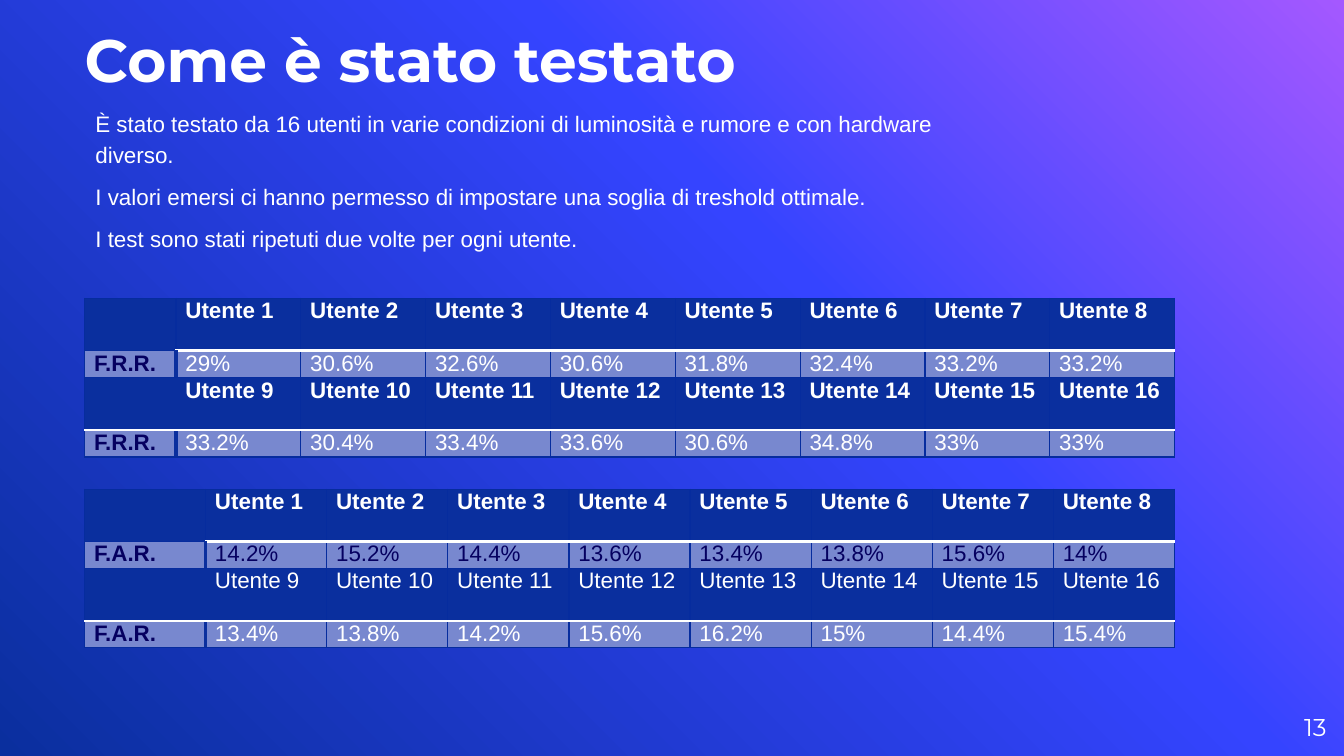
from lxml import etree
from pptx import Presentation
from pptx.dml.color import RGBColor
from pptx.enum.text import MSO_ANCHOR as Anchor, PP_ALIGN as Align
from pptx.oxml import parse_xml
from pptx.oxml.ns import nsdecls, qn
from pptx.util import Inches, Pt

WIDTH = 10
HEIGHT = WIDTH * 9 / 16
LEFT = 0.63
TEXT_WIDTH = 6.58
TABLE_WIDTH = 8.11
ROW_HEIGHTS = (0.39, 0.2, 0.39, 0.2)
USERS_PER_ROW = 8

COLORS = {
    "white": "FFFFFF",
    "ink": "050060",
    "navy": "0A2F9E",
    "border": "062C9E",
    "band": "7888CF",
    "blue": "3544FF",
    "violet": "A458FF",
}
GRADIENT = ((0, "violet"), (39, "blue"), (100, "navy"))

INTRO = (
    "È stato testato da 16 utenti in varie condizioni di luminosità e rumore e con hardware diverso.",
    "I valori emersi ci hanno permesso di impostare una soglia di treshold ottimale.",
    "I test sono stati ripetuti due volte per ogni utente.",
)
FRR = (
    ("29%", "30.6%", "32.6%", "30.6%", "31.8%", "32.4%", "33.2%", "33.2%"),
    ("33.2%", "30.4%", "33.4%", "33.6%", "30.6%", "34.8%", "33%", "33%"),
)
FAR = (
    ("14.2%", "15.2%", "14.4%", "13.6%", "13.4%", "13.8%", "15.6%", "14%"),
    ("13.4%", "13.8%", "14.2%", "15.6%", "16.2%", "15%", "14.4%", "15.4%"),
)


def rgb(name):
    return RGBColor.from_string(COLORS[name])


def set_background(slide):
    stops = "".join(
        f'<a:gs pos="{position * 1000}"><a:srgbClr val="{COLORS[name]}"/></a:gs>'
        for position, name in GRADIENT
    )
    slide.background.fill.solid()
    properties = slide.background._cSld.find(qn("p:bg")).find(qn("p:bgPr"))
    properties.replace(properties[0], parse_xml(
        f'<a:gradFill {nsdecls("a")} rotWithShape="1"><a:gsLst>{stops}</a:gsLst>'
        f'<a:lin ang="{135 * 60000}" scaled="0"/></a:gradFill>'
    ))


def add_run(paragraph, text, size, font="Arial", color="white", bold=False):
    run = paragraph.add_run()
    run.text = text
    run.font.size = Pt(size)
    run.font.name = font
    run.font.bold = bold
    run.font.color.rgb = rgb(color)


def format_frame(frame, anchor):
    frame.word_wrap = True
    frame.vertical_anchor = anchor
    frame.margin_left = frame.margin_right = 0
    frame.margin_top = frame.margin_bottom = 0


def add_title(slide, text):
    title = slide.shapes.title
    title.left, title.top = Inches(LEFT), Inches(-0.24)
    title.width, title.height = Inches(TEXT_WIDTH), Inches(0.94)
    format_frame(title.text_frame, Anchor.BOTTOM)
    paragraph = title.text_frame.paragraphs[0]
    paragraph.alignment = Align.LEFT
    add_run(paragraph, text, 32, "Montserrat", bold=True)


def add_text_box(slide, left, top, width, height, anchor):
    box = slide.shapes.add_textbox(Inches(left), Inches(top), Inches(width), Inches(height))
    format_frame(box.text_frame, anchor)
    return box.text_frame


def add_intro(slide):
    frame = add_text_box(slide, LEFT, 0.79, TEXT_WIDTH, 1.19, Anchor.TOP)
    for index, text in enumerate(INTRO):
        paragraph = frame.add_paragraph() if index else frame.paragraphs[0]
        paragraph.line_spacing = 1.15
        paragraph.space_before = Pt(6)
        paragraph._p.get_or_add_pPr().set("marL", str(Inches(0.08)))
        add_run(paragraph, text, 12)


def add_page_number(slide, number):
    frame = add_text_box(slide, 9.27, 5.19, 0.6, 0.43, Anchor.MIDDLE)
    frame.paragraphs[0].alignment = Align.RIGHT
    add_run(frame.paragraphs[0], number, 13, "Montserrat")


def set_borders(cell, borders):
    """Borders map L, R, T and B to a color name and a width in points."""
    properties = cell._tc.get_or_add_tcPr()
    for index, side in enumerate("LRTB"):
        color, width = borders.get(side, ("border", 0.75))
        line = etree.Element(qn(f"a:ln{side}"), w=str(Pt(width)))
        fill = etree.SubElement(line, qn("a:solidFill"))
        etree.SubElement(fill, qn("a:srgbClr"), val=COLORS[color])
        properties.insert(index, line)


def cell_borders(row, column):
    borders = {}
    # White rule between each header row and its values
    rule = ("white", 2 if row < 2 else 1)
    if column or row >= 2:
        borders["T" if row % 2 else "B"] = rule
    # Thick edge beside the row labels
    if row and column < 2:
        borders["L" if column else "R"] = ("navy", 2)
    return borders


def add_rate_table(slide, left, top, label, rates, label_width,
                   first_values="white", second_header_bold=True):
    table = slide.shapes.add_table(
        len(ROW_HEIGHTS), USERS_PER_ROW + 1,
        Inches(left), Inches(top), Inches(TABLE_WIDTH), Inches(sum(ROW_HEIGHTS)),
    ).table
    user_width = (TABLE_WIDTH - label_width) / USERS_PER_ROW
    for index, column in enumerate(table.columns):
        column.width = Inches(user_width if index else label_width)

    for row, height in enumerate(ROW_HEIGHTS):
        table.rows[row].height = Inches(height)
        group, is_values = divmod(row, 2)
        for column in range(USERS_PER_ROW + 1):
            cell = table.cell(row, column)
            cell.margin_left = cell.margin_right = Inches(0.07)
            cell.margin_top = cell.margin_bottom = 0
            cell.fill.solid()
            cell.fill.fore_color.rgb = rgb("band" if is_values else "navy")
            set_borders(cell, cell_borders(row, column))
            paragraph = cell.text_frame.paragraphs[0]
            if is_values and column == 0:
                add_run(paragraph, label, 12, color="ink", bold=True)
            elif is_values:
                color = "white" if group else first_values
                add_run(paragraph, rates[group][column - 1], 12, color=color)
            elif column:
                user = group * USERS_PER_ROW + column
                add_run(paragraph, f"Utente {user}", 12,
                        bold=second_header_bold or group == 0)


def main():
    presentation = Presentation()
    presentation.slide_width, presentation.slide_height = Inches(WIDTH), Inches(HEIGHT)
    slide = presentation.slides.add_slide(presentation.slide_layouts[5])
    set_background(slide)

    # Heading and introduction
    add_title(slide, "Come è stato testato")
    add_intro(slide)
    add_page_number(slide, "13")

    # False rejection and false acceptance rates
    add_rate_table(slide, LEFT, 2.22, "F.R.R.", FRR, label_width=0.68)
    add_rate_table(slide, LEFT, 3.64, "F.A.R.", FAR, label_width=0.9,
                   first_values="ink", second_header_bold=False)
    presentation.save("out.pptx")


if __name__ == "__main__":
    main()
